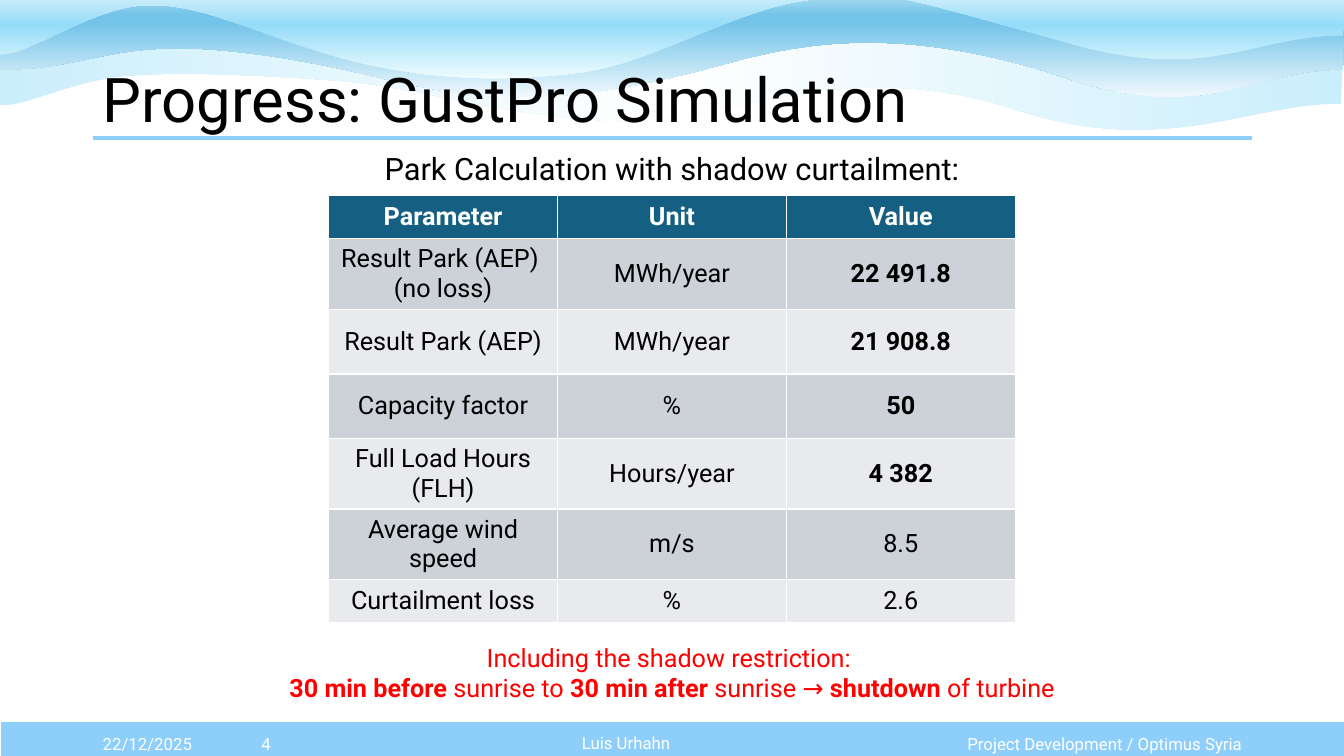
"""Build the wind simulation results slide with its wave header, table and footer."""
from lxml.etree import SubElement
from pptx import Presentation
from pptx.dml.color import RGBColor as RGB
from pptx.enum.shapes import MSO_CONNECTOR as CONN, MSO_SHAPE as SHAPE
from pptx.enum.text import MSO_ANCHOR as ANCHOR, PP_ALIGN as ALIGN
from pptx.oxml.ns import qn
from pptx.util import Inches, Pt

THEME = {
    "font": "Roboto", "ink": "000000", "paper": "FFFFFF", "sky": "8ECEFA",
    "alert": "FF0000", "head": "156082", "bands": ("CCD2D8", "E8EAED"),
    "title": 44, "subtitle": 22, "body": 18, "footer": 12,
}

prs = Presentation()
prs.slide_width, prs.slide_height = Inches(13.33), Inches(7.5)
COL, ROW = prs.slide_width / 13.33, prs.slide_height / 7.5
LEFT, RIGHT = 0.92, 12.42
s = prs.slides.add_slide(prs.slide_layouts[6])


def grid(*lengths):
    """Turn alternating grid columns and rows into slide lengths."""
    return [round(v * (ROW if i % 2 else COL)) for i, v in enumerate(lengths)]


def write(tf, text, size="body", color="ink", align=ALIGN.CENTER, anchor=ANCHOR.TOP, spacing=1.0):
    """Fill a text frame; double asterisks enclose bold words, a bar breaks the line."""
    tf.word_wrap = True
    tf.vertical_anchor = anchor
    for i, line in enumerate(text.split("\n")):
        p = tf.add_paragraph() if i else tf.paragraphs[0]
        p.alignment, p.line_spacing = align, spacing
        for j, words in enumerate(line.split("**")):
            for k, part in enumerate(words.split("|")):
                if k:
                    p.add_line_break()
                if part:
                    r = p.add_run()
                    r.text = part
                    r.font.name, r.font.size, r.font.bold = THEME["font"], Pt(THEME[size]), j % 2 == 1
                    r.font.color.rgb = RGB.from_string(THEME[color])


bar = s.shapes.add_shape(SHAPE.RECTANGLE, *grid(0, 7.15, 13.35, 0.4))
bar.shadow.inherit = False
bar.fill.solid()
bar.fill.fore_color.rgb = RGB.from_string(THEME["sky"])
bar.line.color.rgb = RGB.from_string(THEME["paper"])
bar.line.width = Pt(1.5)

waves = [
    (0.3, 0.98, [(0, "CAEEFB"), (50, "FFFFFF"), (100, "CAEEFB")], 0,
     [(13.3, 1.03), (12.37, 1.02), (11.52, 1.59), (9.99, 1.06), (8.27, 0.54), (7.21, 1.24),
      (6.1, 1.2), (4.99, 1.16), (4.21, 0.87), (3.35, 0.8), (2.49, 0.74), (1.83, 0.71),
      (1.27, 0.75), (0.71, 0.79), (0.14, 1.11), (-0.02, 1.03)]),
    (-0.02, 0.98, [(0, "A2D8F0"), (17, "74C4E9"), (26, "74C4E9"), (100, "F0F8FD")], 270,
     [(13.32, 0.69), (12.39, 0.69), (11.96, 1.27), (10.44, 0.73), (8.71, 0.19), (7.73, 0.49),
      (7.06, 0.67), (5.28, 1.14), (4.59, 0.97), (3.46, 0.7), (1.13, 0.21), (1.15, 0.69),
      (0, 0.69)]),
    (-0.28, 1.06, [(0, "FFFFFF"), (50, "96DCF8"), (100, "EFFCFF")], 270,
     [(13.32, 0.35), (12.39, 0.35), (11.96, 0.86), (10.44, 0.38), (8.72, -0.09), (8.91, -0.07),
      (8.13, -0.01), (7.35, 0.04), (6.53, 0.62), (5.76, 0.72), (4.98, 0.82), (4.24, 0.79),
      (3.47, 0.6), (2.58, 0.36), (2.07, 0.05), (1.5, 0.05), (0.92, 0.04), (0.22, 0.61),
      (-0.03, 0.53)]),
]
for top, height, stops, angle, pts in waves:
    builder = s.shapes.build_freeform(*grid(*pts[0]))
    builder.add_line_segments([grid(*pt) for pt in pts[3::3] + [(pts[-1][0], top), (13.33, top)]])
    sp = builder.convert_to_shape()
    sp.shadow.inherit = False
    sp.line.fill.background()
    sp.fill.gradient()
    sp.fill.gradient_angle = angle
    sp.height = round(height * ROW)
    spPr = sp._element.spPr
    outline = spPr.find(".//" + qn("a:path"))
    outline.set("h", str(sp.height))
    for k, segment in enumerate(outline.findall(qn("a:lnTo"))[:len(pts) // 3]):
        curve = SubElement(outline, qn("a:cubicBezTo"))
        for pt in pts[3 * k + 1:3 * k + 4]:
            x, y = grid(*pt)
            SubElement(curve, qn("a:pt"), x=str(x - sp.left), y=str(y - sp.top))
        outline.replace(segment, curve)
    gs_list = spPr.find(".//" + qn("a:gsLst"))
    gs_list.clear()
    for pos, color in stops:
        gs = SubElement(gs_list, qn("a:gs"), pos=str(pos * 1000))
        SubElement(gs, qn("a:srgbClr"), val=color)

x1, y1, x2, y2 = grid(LEFT, 1.37, RIGHT, 1.37)
rule = s.shapes.add_connector(CONN.STRAIGHT, x1, y1, x2, y2)
rule.line.color.rgb = RGB.from_string(THEME["sky"])
rule.line.width = Pt(3)
SubElement(rule._element.spPr, qn("a:effectLst"))

footer = {"size": "footer", "color": "paper", "anchor": ANCHOR.MIDDLE}
boxes = [
    ((LEFT, 0.4, 11.5, 1), "Progress: GustPro Simulation",
     {"size": "title", "align": ALIGN.LEFT, "anchor": ANCHOR.BOTTOM, "spacing": 0.9}),
    ((LEFT, 7.18, 1.22, 0.4), "22/12/2025", {**footer, "align": ALIGN.LEFT}),
    ((9.27, 7.18, 3.15, 0.4), "Project Development / Optimus Syria", {**footer, "align": ALIGN.RIGHT}),
    ((2.13, 7.18, 1.02, 0.4), "4", footer),
    ((3.15, 7.18, 6.12, 0.4), "Luis Urhahn", {**footer, "spacing": 0.9}),
    ((3.39, 1.48, 6.55, 4.91), "Park Calculation with shadow curtailment:",
     {"size": "subtitle", "spacing": 0.9}),
    ((2.74, 6.32, 7.85, 0.71),
     "Including the shadow restriction: \n"
     "**30 min before **sunrise to **30 min after **sunrise → **shutdown** of turbine",
     {"color": "alert"}),
]
for box, text, style in boxes:
    write(s.shapes.add_textbox(*grid(*box)).text_frame, text, **style)

results = [
    ("**Parameter**", "**Unit**", "**Value**"),
    ("Result Park (AEP) |(no loss)", "MWh/year", "**22 491.8**"),
    ("Result Park (AEP)", "MWh/year", "**21 908.8**"),
    ("Capacity factor", "%", "**50**"),
    ("Full Load Hours (FLH)", "Hours/year", "**4 382**"),
    ("Average wind speed", "m/s", "8.5"),
    ("Curtailment loss", "%", "2.6"),
]
heights = [0.43] + [0.64] * 4 + [0.43] * 2
table = s.shapes.add_table(len(results), 3, *grid(3.26, 1.94, 6.81, sum(heights))).table
for column in table.columns:
    column.width = round(2.27 * COL)
for i, (values, height) in enumerate(zip(results, heights)):
    table.rows[i].height = round(height * ROW)
    for j, value in enumerate(values):
        cell = table.cell(i, j)
        write(cell.text_frame, value, color="ink" if i else "paper")
        cell.vertical_anchor = ANCHOR.MIDDLE
        cell.fill.solid()
        cell.fill.fore_color.rgb = RGB.from_string(THEME["bands"][(i - 1) % 2] if i else THEME["head"])

prs.save("out.pptx")
